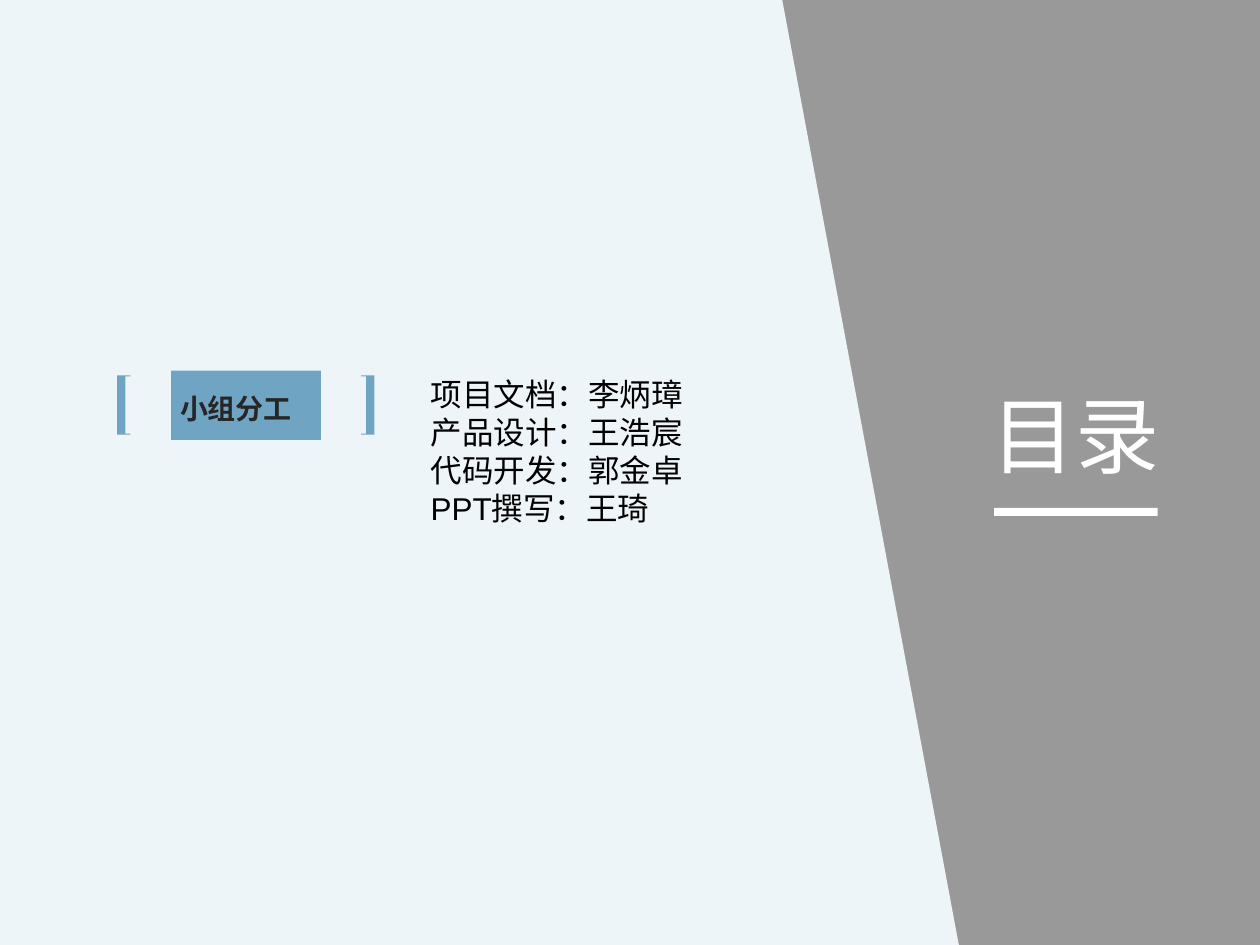
from lxml.etree import SubElement
from pptx import Presentation
from pptx.dml.color import RGBColor
from pptx.enum.shapes import MSO_SHAPE
from pptx.enum.text import MSO_ANCHOR, MSO_AUTO_SIZE, PP_ALIGN
from pptx.oxml.ns import qn
from pptx.util import Cm, Pt

BLACK = RGBColor(0x00, 0x00, 0x00)
WHITE = RGBColor(0xFF, 0xFF, 0xFF)
PALE_BLUE = RGBColor(0xEE, 0xF5, 0xF8)
BLUE = RGBColor(0x6F, 0xA4, 0xC3)
DARK_GREY = RGBColor(0x26, 0x26, 0x26)

WIDTH, HEIGHT = 25.4, 19.05
LATIN_FONT, CHINESE_FONT = "Arial", "Noto Sans CJK SC"


class SlideBuilder:
    def __init__(self, slide):
        self.slide = slide

    def paint(self, shape, color, opacity=None):
        """Give a shape a plain fill, with opacity in percent, and no line or shadow."""
        shape.shadow.inherit = False
        shape.fill.solid()
        shape.fill.fore_color.rgb = color
        shape.line.fill.background()
        if opacity is not None:
            color_element = shape._element.spPr.find(qn("a:solidFill"))[0]
            SubElement(color_element, qn("a:alpha"), val=str(opacity * 1000))
        return shape

    def rectangle(self, left, top, width, height, color, opacity=None):
        shape = self.slide.shapes.add_shape(
            MSO_SHAPE.RECTANGLE, Cm(left), Cm(top), Cm(width), Cm(height))
        return self.paint(shape, color, opacity)

    def polygon(self, points, color):
        start, *others = [(Cm(x), Cm(y)) for x, y in points]
        builder = self.slide.shapes.build_freeform(*start)
        builder.add_line_segments(others, close=True)
        return self.paint(builder.convert_to_shape(), color)

    def bracket(self, edge, direction):
        """Draw a square bracket from its outer edge, opening to the right (1) or left (-1)."""
        top, bottom, lip = 7.57, 8.76, 0.02
        spine, tip = edge + direction * 0.17, edge + direction * 0.27
        self.polygon([(edge, top), (tip, top), (tip, top + lip), (spine, top + lip),
                      (spine, bottom - lip), (tip, bottom - lip), (tip, bottom),
                      (edge, bottom)], BLUE)

    def text_box(self, left, top, width, height, lines, **style):
        shape = self.slide.shapes.add_textbox(Cm(left), Cm(top), Cm(width), Cm(height))
        self.set_text(shape, lines, **style)

    def set_text(self, shape, lines, font, color, frame=None, paragraph_format=None):
        """Fill a shape with lines; each format is a dict of attribute values."""
        text_frame = shape.text_frame
        text_frame.word_wrap = True
        self.apply(text_frame, frame or {})
        for index, line in enumerate(lines):
            paragraph = text_frame.add_paragraph() if index else text_frame.paragraphs[0]
            self.apply(paragraph, paragraph_format or {})
            run = paragraph.add_run()
            run.text = line
            run.font.color.rgb = color
            self.apply(run.font, font)
            SubElement(run._r.get_or_add_rPr(), qn("a:ea"), typeface=CHINESE_FONT)

    @staticmethod
    def apply(target, values):
        for name, value in values.items():
            setattr(target, name, value)


def main():
    presentation = Presentation()
    presentation.slide_width, presentation.slide_height = Cm(WIDTH), Cm(HEIGHT)
    builder = SlideBuilder(presentation.slides.add_slide(presentation.slide_layouts[6]))

    builder.rectangle(0, 0, WIDTH, HEIGHT, BLACK, opacity=40)
    builder.polygon([(0, 0), (15.77, 0), (19.33, HEIGHT), (0, HEIGHT)], PALE_BLUE)

    builder.bracket(2.36, 1)
    builder.bracket(7.55, -1)
    label = builder.rectangle(3.45, 7.47, 3.02, 1.4, BLUE)
    builder.set_text(
        label, ["小组分工"], color=DARK_GREY,
        font={"name": LATIN_FONT, "size": Pt(16), "bold": True},
        frame={"vertical_anchor": MSO_ANCHOR.MIDDLE,
               "margin_left": Cm(0.18), "margin_right": Cm(0.18),
               "margin_top": Cm(0.1), "margin_bottom": Cm(0.1)},
        paragraph_format={"alignment": PP_ALIGN.LEFT, "line_spacing": 1.2})

    builder.text_box(
        19.38, 7.59, 4.62, 2.31, ["目录"], color=WHITE,
        font={"name": CHINESE_FONT, "size": Pt(48)},
        frame={"vertical_anchor": MSO_ANCHOR.MIDDLE},
        paragraph_format={"alignment": PP_ALIGN.CENTER})
    builder.rectangle(20.04, 10.24, 3.3, 0.16, WHITE)

    builder.text_box(
        8.43, 7.44, 7.67, 3.3,
        ["项目文档：李炳璋", "产品设计：王浩宸", "代码开发：郭金卓", "PPT撰写：王琦"],
        color=BLACK, font={"name": LATIN_FONT, "size": Pt(18)},
        frame={"auto_size": MSO_AUTO_SIZE.SHAPE_TO_FIT_TEXT})

    presentation.save("out.pptx")


if __name__ == "__main__":
    main()
